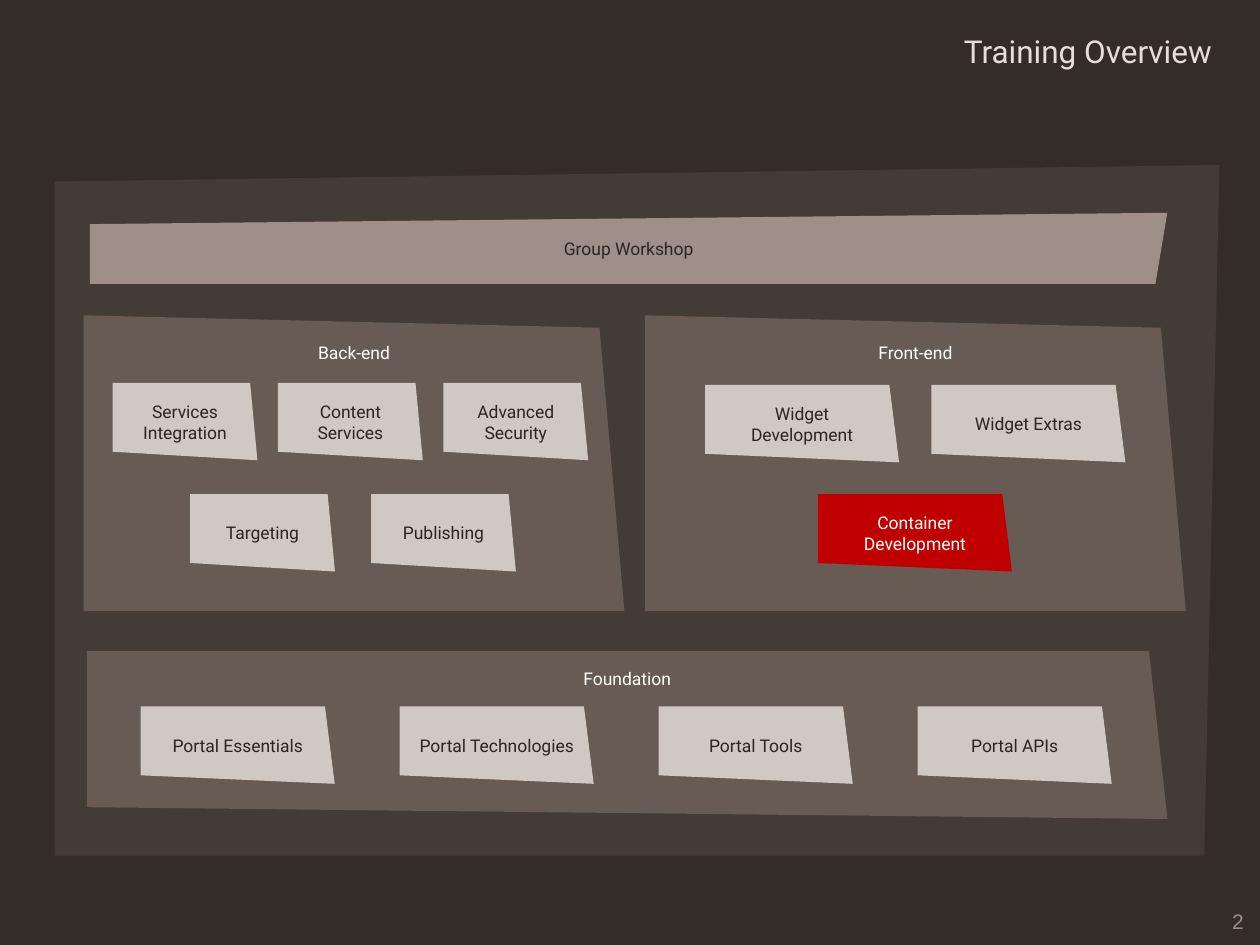
"""Build the Training Overview slide: slanted panels that group the course modules."""
from dataclasses import dataclass

from pptx import Presentation
from pptx.dml.color import RGBColor
from pptx.enum.text import MSO_ANCHOR as Anchor, MSO_AUTO_SIZE as AutoSize, PP_ALIGN as Align
from pptx.slide import Slide
from pptx.text.text import TextFrame
from pptx.util import Pt

BACKGROUND, FRAME, PANEL, BAR, CARD = "332D2A", "433B36", "675B53", "9E9088", "CFC8C3"
HIGHLIGHT, DARK, WHITE, TITLE = "C00000", "2B2623", "FFFFFF", "E5DEDC"
NARROW, WIDE, CARD_HEIGHT = 82.8, 110.9, 44.2

Corners = tuple[tuple[float, float], ...]
FRAME_CORNERS = ((0, 0.024), (1, 0), (0.987, 1), (0, 1))
BAR_CORNERS = ((0, 0.16), (1, 0), (0.989, 1), (0, 1))
TRACK_CORNERS = ((0, 0), (0.954, 0.042), (1, 1), (0, 1))
FOUNDATION_CORNERS = ((0, 0), (0.983, 0), (1, 1), (0, 0.93))
CARD_CORNERS = ((0, 0), (0.95, 0), (1, 1), (0, 0.89))


@dataclass
class Block:
    """A slanted block, measured in points; heading_inset puts its text at the top."""
    left: float
    top: float
    width: float
    height: float
    corners: Corners
    fill: str
    text: str = ""
    color: str = DARK
    heading_inset: float | None = None


@dataclass
class CardRow:
    """A row of equally spaced cards."""
    left: float
    top: float
    pitch: float
    width: float
    labels: tuple[str, ...]
    fill: str = CARD
    color: str = DARK


BLOCKS = (
    Block(31.2, 94.3, 665.6, 394.7, FRAME_CORNERS, FRAME),
    Block(49.7, 372, 617.4, 96, FOUNDATION_CORNERS, PANEL, "Foundation", WHITE, 9.6),
    Block(368.6, 180.2, 309, 169, TRACK_CORNERS, PANEL, "Front-end", WHITE, 15.4),
    Block(47.8, 180.2, 309, 169, TRACK_CORNERS, PANEL, "Back-end", WHITE, 15.4),
    Block(51.3, 121.6, 615.7, 40.6, BAR_CORNERS, BAR, "Group Workshop"),
)
CARD_ROWS = (
    CardRow(64.3, 218.8, 94.5, NARROW,
            ("Services\nIntegration", "Content\nServices", "Advanced\nSecurity")),
    CardRow(108.6, 282.4, 103.4, NARROW, ("Targeting", "Publishing")),
    CardRow(80.4, 403.7, 148, WIDE,
            ("Portal Essentials", "Portal Technologies", "Portal Tools", "Portal APIs")),
    CardRow(402.9, 220, 129.3, WIDE, ("Widget\nDevelopment", "Widget Extras")),
    CardRow(467.4, 282.4, 0, WIDE, ("Container\nDevelopment",), HIGHLIGHT, WHITE),
)


def rgb(color: str) -> RGBColor:
    """Turn a hex string into a colour."""
    return RGBColor.from_string(color)


def set_attributes(target: object, values: dict) -> None:
    """Set every format value on the target."""
    for name, value in values.items():
        setattr(target, name, value)


def write_text(frame: TextFrame, text: str, size: float, color: str,
               align: Align, font: str = "Roboto", **frame_format) -> None:
    """Fill a text frame with one paragraph per line and format it."""
    set_attributes(frame, {"text": text, "auto_size": AutoSize.NONE, **frame_format})
    for paragraph in frame.paragraphs:
        paragraph.alignment = align
        for run in paragraph.runs:
            set_attributes(run.font, {"name": font, "size": Pt(size)})
            run.font.color.rgb = rgb(color)


def draw_block(slide: Slide, block: Block) -> None:
    """Draw one slanted block with its text."""
    points = [(Pt(block.left + x * block.width), Pt(block.top + y * block.height))
              for x, y in block.corners]
    builder = slide.shapes.build_freeform(*points[0])
    builder.add_line_segments(points[1:], close=True)
    shape = builder.convert_to_shape()
    shape.shadow.inherit = False
    shape.fill.solid()
    shape.fill.fore_color.rgb = rgb(block.fill)
    shape.line.fill.background()
    if block.text:
        frame_format = {"word_wrap": False, "vertical_anchor": Anchor.MIDDLE}
        if block.heading_inset is not None:
            frame_format |= {"vertical_anchor": Anchor.TOP, "margin_top": Pt(block.heading_inset)}
        write_text(shape.text_frame, block.text, 10, block.color, Align.CENTER, **frame_format)


def draw_card_row(slide: Slide, row: CardRow) -> None:
    """Draw the cards of a row from left to right."""
    for index, label in enumerate(row.labels):
        draw_block(slide, Block(row.left + index * row.pitch, row.top, row.width, CARD_HEIGHT,
                                CARD_CORNERS, row.fill, label, row.color))


def main() -> None:
    """Build and save the presentation."""
    presentation = Presentation()
    set_attributes(presentation, {"slide_width": Pt(720), "slide_height": Pt(540)})
    slide = presentation.slides.add_slide(presentation.slide_layouts[5])
    slide.background.fill.solid()
    slide.background.fill.fore_color.rgb = rgb(BACKGROUND)

    title = slide.shapes.title
    set_attributes(title, {"left": Pt(206.6), "top": Pt(14.4),
                           "width": Pt(493.2), "height": Pt(28.8)})
    write_text(title.text_frame, "Training Overview", 18, TITLE, Align.RIGHT,
               word_wrap=True, vertical_anchor=Anchor.TOP)
    page_number = slide.shapes.add_textbox(Pt(586), Pt(516.2), Pt(131.8), Pt(20.2))
    write_text(page_number.text_frame, "2", 12, BAR, Align.RIGHT, "Arial",
               word_wrap=True, vertical_anchor=Anchor.MIDDLE)

    for block in BLOCKS:
        draw_block(slide, block)
    for row in CARD_ROWS:
        draw_card_row(slide, row)
    presentation.save("out.pptx")


if __name__ == "__main__":
    main()
